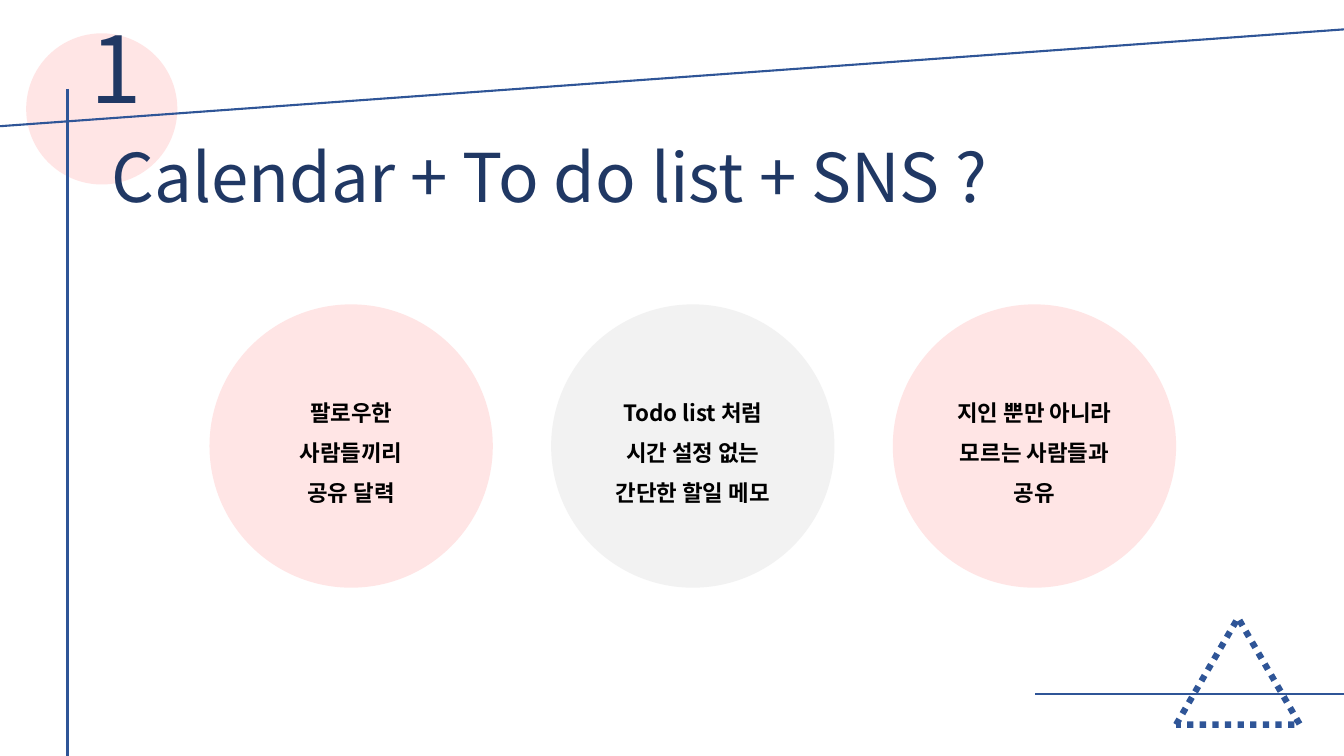
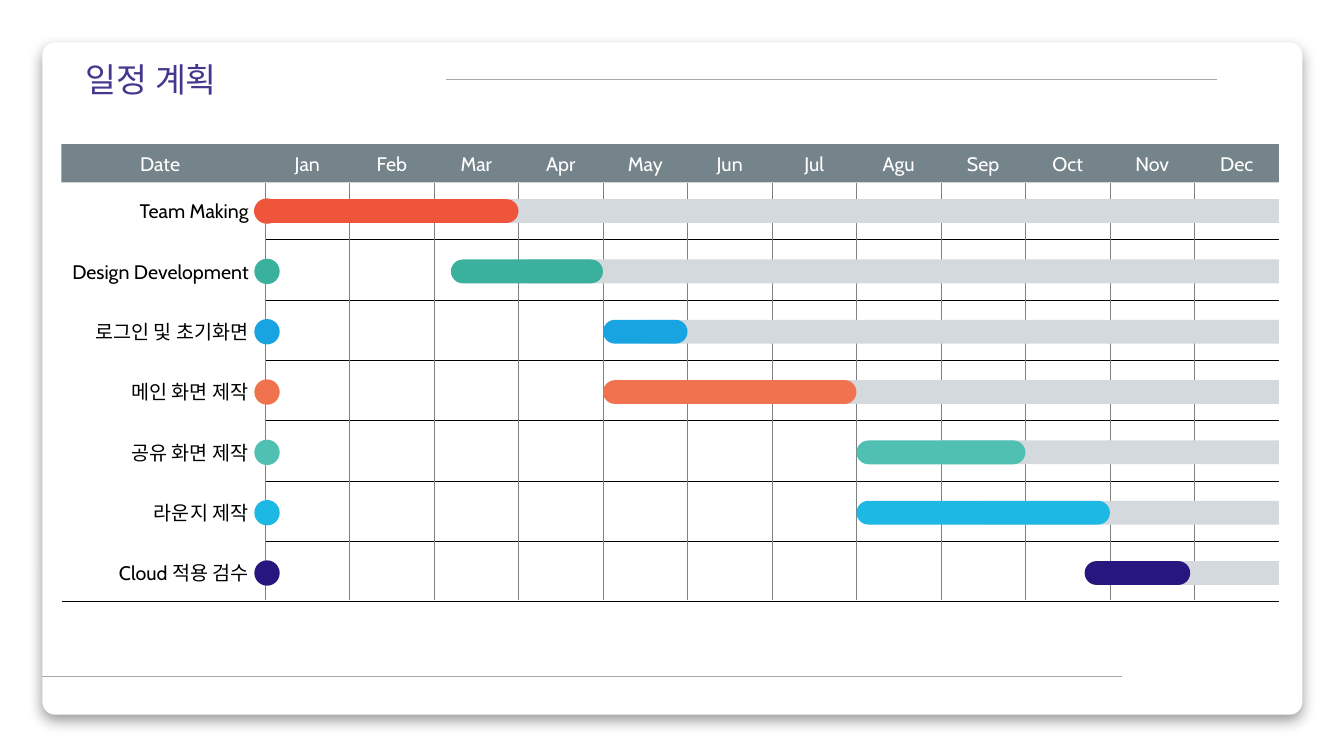
from lxml.etree import SubElement
from pptx import Presentation
from pptx.dml.color import RGBColor
from pptx.enum.dml import MSO_LINE
from pptx.enum.shapes import MSO_CONNECTOR, MSO_SHAPE
from pptx.enum.text import MSO_ANCHOR, MSO_AUTO_SIZE, PP_ALIGN
from pptx.oxml.ns import qn
from pptx.util import Cm, Pt

WHITE = RGBColor(0xFF, 0xFF, 0xFF)
BLACK = RGBColor(0x00, 0x00, 0x00)
PINK = RGBColor(0xFF, 0xE5, 0xE5)
PALE = RGBColor(0xF2, 0xF2, 0xF2)
NAVY = RGBColor(0x20, 0x38, 0x64)
BLUE = RGBColor(0x2F, 0x55, 0x97)
VIOLET = RGBColor(0x45, 0x37, 0x8D)
SLATE = RGBColor(0x75, 0x84, 0x8B)
GRAY = RGBColor(0x80, 0x80, 0x80)
RULE = RGBColor(0xA2, 0xA9, 0xAF)
TRACK = RGBColor(0xD4, 0xD9, 0xDD)
RED = RGBColor(0xEE, 0x55, 0x3B)
GREEN = RGBColor(0x3A, 0xB1, 0x9C)
AZURE = RGBColor(0x17, 0xA4, 0xE0)
CORAL = RGBColor(0xF1, 0x72, 0x4F)
MINT = RGBColor(0x50, 0xC0, 0xB3)
CYAN = RGBColor(0x1D, 0xB8, 0xE3)
INDIGO = RGBColor(0x27, 0x16, 0x7E)

NOTO = "Noto Sans CJK KR"
CABIN = "Cabin"
WIDTH, HEIGHT = 33.87, 19.05

MONTHS = ["Jan", "Feb", "Mar", "Apr", "May", "Jun",
          "Jul", "Agu", "Sep", "Oct", "Nov", "Dec"]
TASKS = [
    ("Team Making", RED, -0.13, 3),
    ("Design Development", GREEN, 2.2, 4),
    ("로그인 및 초기화면", AZURE, 4, 5),
    ("메인 화면 제작", CORAL, 4, 7),
    ("공유 화면 제작", MINT, 7, 9),
    ("라운지 제작", CYAN, 7, 10),
    ("Cloud 적용 검수", INDIGO, 9.7, 10.95),
]
IDEAS = [
    ("팔로우한\n사람들끼리\n공유 달력", PINK),
    ("Todo list 처럼\n시간 설정 없는\n간단한 할일 메모", PALE),
    ("지인 뿐만 아니라\n모르는 사람들과 공유", PINK),
]


def write(shape, text, size=14, font=CABIN, color=BLACK, bold=False,
          align=PP_ALIGN.LEFT, space=1.0, inset=(0, 0)):
    frame = shape.text_frame
    frame.text = text
    frame.word_wrap = True
    frame.auto_size = MSO_AUTO_SIZE.NONE
    frame.vertical_anchor = MSO_ANCHOR.MIDDLE
    frame.margin_left = frame.margin_right = Cm(inset[0])
    frame.margin_top = frame.margin_bottom = Cm(inset[1])
    for para in frame.paragraphs:
        para.alignment = align
        para.line_spacing = space
        for run in para.runs:
            run.font.size = Pt(size)
            run.font.name = font
            run.font.bold = bold
            run.font.color.rgb = color
            asian = SubElement(run.font._element, qn("a:ea"))
            asian.set("typeface", NOTO)


def label(slide, box, text, **style):
    write(slide.shapes.add_textbox(*map(Cm, box)), text, **style)


def title(slide, box, text, **style):
    head = slide.shapes.title
    head.left, head.top, head.width, head.height = map(Cm, box)
    write(head, text, **style)
    head.element.getparent().append(head.element)


def block(slide, kind, box, fill=None):
    shape = slide.shapes.add_shape(kind, *map(Cm, box))
    shape.shadow.inherit = False
    shape.line.fill.background()
    if fill is None:
        shape.fill.background()
    else:
        shape.fill.solid()
        shape.fill.fore_color.rgb = fill
    return shape


def rule(slide, start, end, color, width=0.5):
    line = slide.shapes.add_connector(
        MSO_CONNECTOR.STRAIGHT, *map(Cm, start + end))
    line.line.color.rgb = color
    line.line.width = Pt(width)
    SubElement(line.element.spPr, qn("a:effectLst"))


def cast(shape, blur, drop, alpha):
    effects = shape.element.spPr.find(qn("a:effectLst"))
    outer = SubElement(effects, qn("a:outerShdw"), blurRad=str(Pt(blur)),
                       dist=str(Pt(drop)), dir="5400000", algn="t",
                       rotWithShape="0")
    shade = SubElement(outer, qn("a:srgbClr"), val=str(BLACK))
    SubElement(shade, qn("a:alpha"), val=str(alpha * 1000))


def corner(slide, box):
    left, top, width, height = box
    tri = block(slide, MSO_SHAPE.ISOSCELES_TRIANGLE, box)
    tri.line.color.rgb = BLUE
    tri.line.width = Pt(4.5)
    tri.line.dash_style = MSO_LINE.ROUND_DOT
    level = top + 1.91
    rule(slide, (WIDTH, level), (left - 3.55, level), BLUE, 1.5)


def badge(slide, box, text):
    left, top, width, height = box
    block(slide, MSO_SHAPE.OVAL, box, PINK)
    axis = left + 1.04
    rule(slide, (axis, top + 1.4), (axis, HEIGHT), BLUE, 1.5)
    rule(slide, (WIDTH, 0.74), (0, 3.18), BLUE, 1.5)
    label(slide, (left + 1.37, top - 0.69, 1.88, 3.07), text, size=66,
          font=NOTO, color=NAVY, inset=(0.25, 0.13))


def circles(slide, box):
    left, top, width, size = box
    step = (width - size) / (len(IDEAS) - 1)
    for index, (text, fill) in enumerate(IDEAS):
        disc = block(slide, MSO_SHAPE.OVAL,
                     (left + index * step, top, size, size), fill)
        write(disc, text, size=16, font=NOTO, bold=True, space=1.5,
              align=PP_ALIGN.CENTER, inset=(0.25, 0.13))


def header(slide, box, side, step):
    left, top, width, height = box
    block(slide, MSO_SHAPE.RECTANGLE, box, SLATE)
    style = dict(color=WHITE, align=PP_ALIGN.CENTER)
    label(slide, (left + 0.25, top, side - 0.66, height), "Date", **style)
    for index, month in enumerate(MONTHS):
        label(slide, (left + side + index * step, top, step, height),
              month, **style)


def grid(slide, box, side, step, row):
    left, top, width, height = box
    right, base = left + width, top + height
    last = len(TASKS) - 1
    for index in range(len(TASKS)):
        level = base - (last - index) * row
        start = left if index == last else left + side
        rule(slide, (right, level), (start, level), BLACK)
    for index in range(len(MONTHS)):
        across = left + side + index * step
        rule(slide, (across, top), (across, base - 0.05), GRAY)


def task(slide, box, side, step, item):
    left, middle, width, thick = box
    text, color, start, end = item
    zero = left + side
    begin, finish = zero + start * step, zero + end * step
    center = (begin + finish) / 2
    top = middle - thick / 2
    label(slide, (left, top, side - 0.41, thick), text, align=PP_ALIGN.RIGHT)
    block(slide, MSO_SHAPE.OVAL,
          (zero - 0.27, middle - 0.32, 0.64, 0.64), color)
    block(slide, MSO_SHAPE.RECTANGLE,
          (center, top, left + width - center, thick), TRACK)
    bar = block(slide, MSO_SHAPE.ROUNDED_RECTANGLE,
                (begin, top, finish - begin, thick), color)
    bar.adjustments[0] = 0.5


def gantt(slide, box):
    left, top, width, height = box
    side, band, row = 5.13, 0.97, 1.52
    step = (width - side) / len(MONTHS)
    grid(slide, (left, top + band, width, height - band), side, step, row)
    header(slide, (left, top, width, band), side, step)
    for index, item in enumerate(TASKS):
        middle = top + 1.69 + index * row
        task(slide, (left, middle, width, 0.6), side, step, item)


def panel(slide, box):
    left, top, width, height = box
    card = block(slide, MSO_SHAPE.ROUNDED_RECTANGLE, box, WHITE)
    card.adjustments[0] = 0.019
    cast(card, 10, 5, 40)
    rule(slide, (left + 29.61, top + 0.94), (left + 10.16, top + 0.94), RULE)
    rule(slide, (left + 27.2, top + 15.97), (left, top + 15.97), RULE)


def concept(slide):
    badge(slide, (0.66, 0.84, 3.81, 3.81), "1")
    title(slide, (2.57, 3.28, 23.88, 2.31), "Calendar + To do list + SNS ?",
          size=48, font=NOTO, color=NAVY, inset=(0.25, 0.13))
    circles(slide, (5.28, 7.67, 24.36, 7.14))
    corner(slide, (29.64, 15.57, 3.12, 2.69))


def schedule(slide):
    panel(slide, (1.07, 1.07, 31.75, 16.94))
    title(slide, (2.16, 1.47, 5, 1.02), "일정 계획", size=24, color=VIOLET)
    gantt(slide, (1.55, 3.63, 30.68, 11.53))


def main():
    deck = Presentation()
    deck.slide_width, deck.slide_height = Cm(WIDTH), Cm(HEIGHT)
    for build in (concept, schedule):
        build(deck.slides.add_slide(deck.slide_layouts[5]))
    deck.save("out.pptx")


if __name__ == "__main__":
    main()
